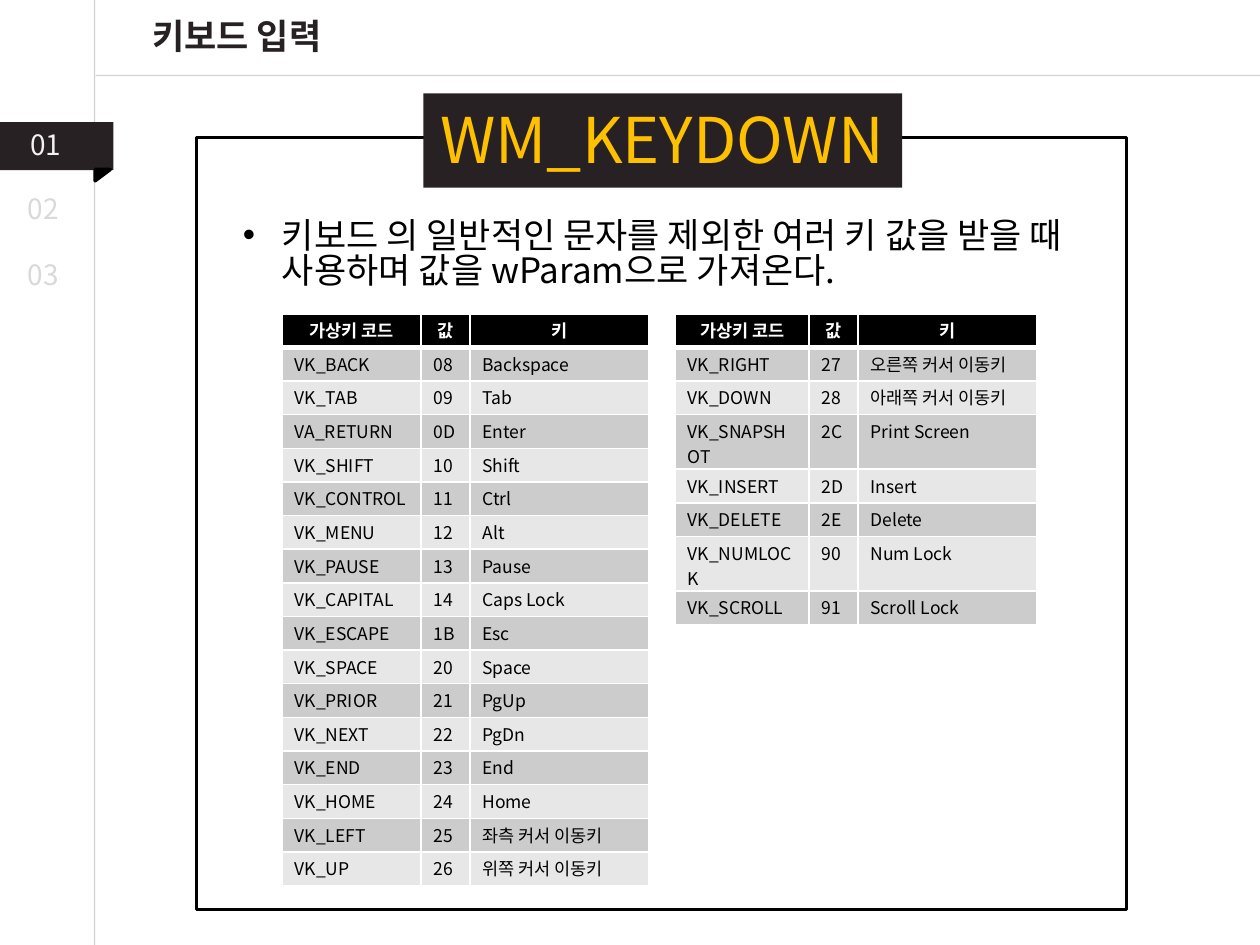
"""Build the WM_KEYDOWN slide with its two tables of virtual key codes."""
import pptx
import pptx.util
import pptx.dml.color
import pptx.enum.shapes
import pptx.enum.text
import pptx.oxml
import pptx.oxml.ns

TITLE = "키보드 입력"
TOPIC = "WM_KEYDOWN"
POINT = "키보드 의 일반적인 문자를 제외한 여러 키 값을 받을 때 사용하며 값을 wParam으로 가져온다."
STEPS = [("01", 1.4, 9.6, 5.9, "pale"), ("02", 1.2, 14.7, 4.9, "dim"), ("03", 1.2, 19.9, 4.9, "dim")]
HEAD = ("가상키 코드", "값", "키")
LEFT = [
    ("VK_BACK", "08", "Backspace"),
    ("VK_TAB", "09", "Tab"),
    ("VA_RETURN", "0D", "Enter"),
    ("VK_SHIFT", "10", "Shift"),
    ("VK_CONTROL", "11", "Ctrl"),
    ("VK_MENU", "12", "Alt"),
    ("VK_PAUSE", "13", "Pause"),
    ("VK_CAPITAL", "14", "Caps Lock"),
    ("VK_ESCAPE", "1B", "Esc"),
    ("VK_SPACE", "20", "Space"),
    ("VK_PRIOR", "21", "PgUp"),
    ("VK_NEXT", "22", "PgDn"),
    ("VK_END", "23", "End"),
    ("VK_HOME", "24", "Home"),
    ("VK_LEFT", "25", "좌측 커서 이동키"),
    ("VK_UP", "26", "위쪽 커서 이동키"),
]
RIGHT = [
    ("VK_RIGHT", "27", "오른쪽 커서 이동키"),
    ("VK_DOWN", "28", "아래쪽 커서 이동키"),
    ("VK_SNAPSHOT", "2C", "Print Screen"),
    ("VK_INSERT", "2D", "Insert"),
    ("VK_DELETE", "2E", "Delete"),
    ("VK_NUMLOCK", "90", "Num Lock"),
    ("VK_SCROLL", "91", "Scroll Lock"),
]
TABLES = [(LEFT, 22.4, (11, 3.9, 14.2)), (RIGHT, 53.6, (10.6, 3.9, 14.2))]
TOP, ROW, TALL = 24.9, 2.67, 4.33
LONG = ("VK_SNAPSHOT", "VK_NUMLOCK")

THEME = {
    "font": "Noto Sans CJK KR",
    "ink": "000000", "dark": "272123", "gold": "FFC000", "white": "FFFFFF",
    "pale": "F2F2F2", "dim": "D9D9D9", "rule": "A6A6A6",
    "bands": ("CCCCCC", "E7E7E7"),
    "topic": 36, "title": 20, "step": 16, "cell": 10,
}
COLS, ROWS = 100, 75
ALIGN = pptx.enum.text.PP_ALIGN
MIDDLE = pptx.enum.text.MSO_ANCHOR.MIDDLE
SHAPE = pptx.enum.shapes.MSO_SHAPE


def unit(n):
    return pptx.util.Inches(round(n * 10 / COLS, 3))


def place(*box):
    return [unit(n) for n in box]


def color(name):
    return pptx.dml.color.RGBColor.from_string(THEME.get(name, name))


def add(parent, tag, **attrs):
    node = pptx.oxml.parse_xml(f'<a:{tag} {pptx.oxml.ns.nsdecls("a")}/>')
    for key, value in attrs.items():
        node.set(key, str(value))
    parent.append(node)
    return node


def write(frame, text, size="cell", ink="ink", bold=False, align=ALIGN.LEFT, wrap=True):
    frame.word_wrap = wrap
    para = frame.paragraphs[0]
    para.alignment = align
    run = para.add_run()
    run.text = text
    font = run.font
    font.name, font.size, font.bold = THEME["font"], pptx.util.Pt(THEME[size]), bold
    font.color.rgb = color(ink)
    add(font._element, "ea", typeface=THEME["font"])
    return para


def label(home, text, box, **style):
    frame = home.add_textbox(*place(*box)).text_frame
    frame.vertical_anchor = MIDDLE
    return write(frame, text, **style)


def block(home, kind, box, fill=None, line=None):
    shape = home.add_shape(kind, *place(*box))
    shape.shadow.inherit = False
    if fill:
        shape.fill.solid()
        shape.fill.fore_color.rgb = color(fill)
    else:
        shape.fill.background()
    if line:
        shape.line.color.rgb = color(line)
        shape.line.width = pptx.util.Pt(2)
    else:
        shape.line.fill.background()
    return shape


def rule(home, *ends):
    line = home.add_connector(pptx.enum.shapes.MSO_CONNECTOR.STRAIGHT, *place(*ends))
    line.line.color.rgb = color("rule")
    line.line.width = pptx.util.Pt(0.75)
    tint = next(line._element.spPr.iter(pptx.oxml.ns.qn("a:srgbClr")))
    add(tint, "alpha", val=50000)
    add(line._element.spPr, "effectLst")


def edge(cell, heavy):
    props = cell._tc.get_or_add_tcPr()
    for spot, side in enumerate(("lnL", "lnR", "lnT", "lnB")):
        wide = 3 if heavy and side == "lnB" else 1
        line = add(props, side, w=pptx.util.Pt(wide))
        add(add(line, "solidFill"), "srgbClr", val=THEME["white"])
        props.insert(spot, line)


def table(home, rows, left, widths):
    data = [HEAD, *rows]
    highs = [TALL if row[0] in LONG else ROW for row in data]
    box = place(left, TOP, sum(widths), sum(highs))
    grid = home.add_table(len(data), len(HEAD), *box).table
    for col, wide in zip(grid.columns, widths):
        col.width = unit(wide)
    for r, (row, high) in enumerate(zip(data, highs)):
        grid.rows[r].height = unit(high)
        for c, text in enumerate(row):
            cell = grid.cell(r, c)
            cell.margin_left = cell.margin_right = unit(1)
            cell.margin_top, cell.margin_bottom = unit(0.3), 0
            cell.fill.solid()
            cell.fill.fore_color.rgb = color(THEME["bands"][(r - 1) % 2] if r else "ink")
            edge(cell, r == 0)
            style = {} if r else {"ink": "white", "bold": True, "align": ALIGN.CENTER}
            write(cell.text_frame, text, **style)


def main():
    deck = pptx.Presentation()
    deck.slide_width, deck.slide_height = place(COLS, ROWS)
    slide = deck.slides.add_slide(deck.slide_layouts[5])
    home = slide.shapes

    title = home.title
    title.left, title.top, title.width, title.height = place(8.1, 0.6, 21.4, 4.4)
    title.text_frame.vertical_anchor = MIDDLE
    write(title.text_frame, TITLE, size="title", ink="dark", bold=True, align=ALIGN.CENTER)

    rule(home, 7.5, 0, 7.5, ROWS)
    rule(home, COLS, 6, 7.6, 6)
    block(home, SHAPE.RECTANGLE, (-0.1, 9.7, 9.1, 3.8), fill="dark")
    fold = block(home, SHAPE.RIGHT_TRIANGLE, (7.7, 13.3, 0.9, 1.2), fill="ink", line="ink")
    fold.rotation = 90
    for text, left, top, wide, ink in STEPS:
        label(home, text, (left, top, wide, 3.7), size="step", ink=ink)

    group = home.add_group_shape().shapes
    block(group, SHAPE.RECTANGLE, (15.6, 10.9, 73.8, 61.3), line="ink")
    block(group, SHAPE.RECTANGLE, (33.6, 7.4, 38, 7.5), fill="dark")
    label(group, TOPIC, (30.2, 7.4, 44.7, 7.1), size="topic", ink="gold", align=ALIGN.CENTER)

    point = label(home, POINT, (18.3, 16.4, 70.6, 7.7), size="title")
    point.line_spacing = 0.83
    props = point._p.get_or_add_pPr()
    props.set("marL", str(unit(3.1)))
    props.set("indent", str(unit(-3.1)))
    add(props, "buFont", typeface="Arial")
    add(props, "buChar", char="•")

    for rows, left, widths in TABLES:
        table(home, rows, left, widths)
    deck.save("out.pptx")


if __name__ == "__main__":
    main()
